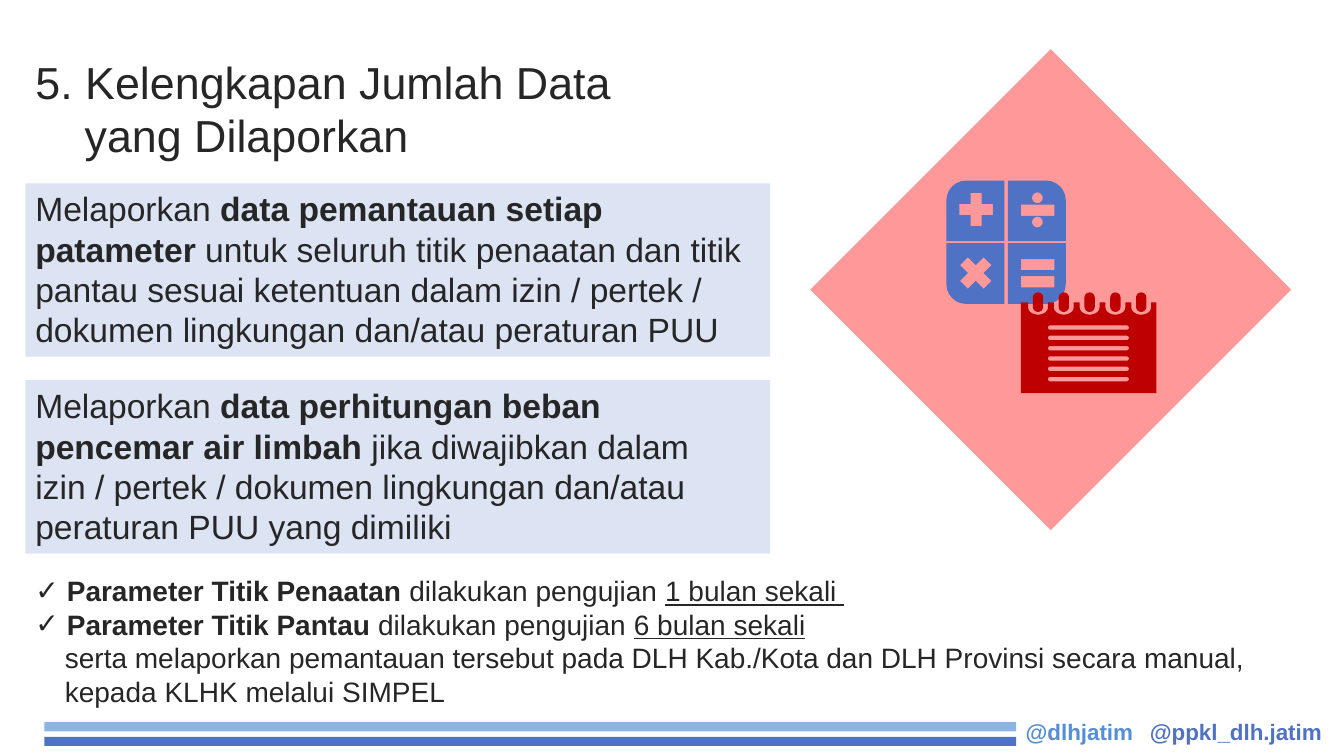
"""Build the slide on completeness of reported monitoring data."""
from dataclasses import dataclass
from math import cos, pi, radians, sin

from lxml.etree import SubElement
from pptx import Presentation
from pptx.dml.color import RGBColor
from pptx.enum.shapes import MSO_SHAPE as Preset
from pptx.enum.text import MSO_ANCHOR as Anchor, MSO_AUTO_SIZE as AutoSize, PP_ALIGN as Align
from pptx.oxml.ns import qn
from pptx.util import Cm, Pt

FONT = "Arial"
INK, PALE, BLUE, SKY, RED = "262626", "DCE3F3", "5072C4", "8EB4E3", "BF0000"
SQUARE = (0, 0, 0, 0)
UNITS_PER_CM = 1000

Point = tuple[float, float]
Contour = list[Point]


@dataclass(frozen=True)
class Box:
    left: float
    top: float
    width: float
    height: float

    def lengths(self) -> tuple:
        return Cm(self.left), Cm(self.top), Cm(self.width), Cm(self.height)


@dataclass(frozen=True)
class Words:
    text: str
    bold: bool = False
    underline: bool = False


@dataclass(frozen=True)
class Statement:
    top: float
    right_inset: float
    words: tuple[Words, ...]


@dataclass(frozen=True)
class Rule:
    words: tuple[Words, ...]
    indent: float
    bullet: str = ""


@dataclass(frozen=True)
class Handle:
    text: str
    left: float
    width: float
    colour: str


STATEMENTS = (
    Statement(4.62, 0.25, (
        Words("Melaporkan "),
        Words("data pemantauan setiap patameter ", bold=True),
        Words("untuk seluruh titik penaatan dan titik pantau sesuai ketentuan dalam "
              "izin / pertek / dokumen lingkungan dan/atau peraturan PUU"))),
    Statement(9.58, 0.8, (
        Words("Melaporkan "),
        Words("data perhitungan beban pencemar air limbah ", bold=True),
        Words("jika diwajibkan dalam izin / pertek / dokumen lingkungan dan/atau "
              "peraturan PUU yang dimiliki"))),
)
RULES = (
    Rule((Words("Parameter Titik Penaatan ", bold=True), Words("dilakukan pengujian "),
          Words("1 bulan sekali ", underline=True)), 0.79, "✓"),
    Rule((Words("Parameter Titik Pantau ", bold=True), Words("dilakukan pengujian "),
          Words("6 bulan sekali", underline=True)), 0.79, "✓"),
    Rule((Words("serta melaporkan pemantauan tersebut pada DLH Kab./Kota dan DLH Provinsi "
                "secara manual, kepada KLHK melalui SIMPEL"),), 0.74),
)
HANDLES = (
    Handle("@dlhjatim", 25.6, 3.66, "558ED5"),
    Handle("@ppkl_dlh.jatim", 28.73, 5.13, BLUE),
)
STRIPES = ((18.2, SKY), (18.57, BLUE))


def rgb(colour: str) -> RGBColor:
    """Turn a hex string into a colour."""
    return RGBColor.from_string(colour)


def paint(shape, colour: str) -> None:
    """Give a shape a flat fill without line or shadow."""
    shape.shadow.inherit = False
    shape.fill.solid()
    shape.fill.fore_color.rgb = rgb(colour)
    shape.line.fill.background()


def add_preset(slide, preset: Preset, box: Box, colour: str):
    """Draw a flat preset shape."""
    shape = slide.shapes.add_shape(preset, *box.lengths())
    paint(shape, colour)
    return shape


def place(placeholder, box: Box) -> None:
    """Move a placeholder and let its text start at the top."""
    placeholder.left, placeholder.top, placeholder.width, placeholder.height = box.lengths()
    prepare(placeholder.text_frame, Anchor.TOP)


def prepare(frame, anchor: Anchor) -> None:
    """Set wrapping, sizing and anchoring of a text frame."""
    frame.word_wrap = True
    frame.auto_size = AutoSize.NONE
    frame.vertical_anchor = anchor


def write(paragraph, words: tuple[Words, ...], size: float, colour: str = INK) -> None:
    """Fill a left-aligned paragraph run by run."""
    paragraph.alignment = Align.LEFT
    for part in words:
        run = paragraph.add_run()
        run.text = part.text
        run.font.name, run.font.size = FONT, Pt(size)
        run.font.bold, run.font.underline = part.bold, part.underline
        run.font.color.rgb = rgb(colour)


def indent(paragraph, left: float, first: float, bullet: str = "") -> None:
    """Set the indents and the bullet of a paragraph."""
    properties = paragraph._p.get_or_add_pPr()
    properties.set("marL", str(Cm(left)))
    properties.set("indent", str(Cm(first)))
    if bullet:
        SubElement(properties, qn("a:buFont")).set("typeface", FONT)
        SubElement(properties, qn("a:buChar")).set("char", bullet)
    else:
        SubElement(properties, qn("a:buNone"))


def arc(x: float, y: float, rx: float, ry: float, start: int, sweep: int) -> Contour:
    """List points along an elliptical arc, in degrees."""
    steps = abs(sweep) // 15
    angles = [radians(start + sweep * step / steps) for step in range(steps + 1)]
    return [(x + rx * cos(angle), y + ry * sin(angle)) for angle in angles]


def rounded(box: Box, radii: tuple[float, ...] = SQUARE) -> Contour:
    """Outline a box with radii clockwise from its top left corner."""
    right, bottom = box.left + box.width, box.top + box.height
    corners = ((box.left, box.top, 1, 1), (right, box.top, -1, 1),
               (right, bottom, -1, -1), (box.left, bottom, 1, -1))
    points: Contour = []
    for turn, ((x, y, dx, dy), r) in enumerate(zip(corners, radii)):
        points += arc(x + dx * r, y + dy * r, r, r, 180 + 90 * turn, 90) if r else [(x, y)]
    return points


def pill(box: Box) -> Contour:
    """Outline a box with fully rounded ends."""
    return rounded(box, (min(box.width, box.height) / 2,) * 4)


def cross(x: float, y: float, turn: float) -> Contour:
    """Outline a plus sign turned about its centre."""
    arm, half = 0.42, 0.14
    quarter = ((half, -half), (arm, -half), (arm, half))
    angles = [turn + pi / 2 * step for step in range(4)]
    return [(x + u * cos(a) - v * sin(a), y + u * sin(a) + v * cos(a))
            for a in angles for u, v in quarter]


def calculator() -> list[Contour]:
    """Outline four keys with their signs."""
    keys = [rounded(Box(left, top, 1.46, 1.53), tuple(0.5 * (n == corner) for n in range(4)))
            for corner, (left, top) in enumerate(
                ((23.85, 4.55), (25.4, 4.55), (25.4, 6.13), (23.85, 6.13)))]
    bars = [rounded(Box(25.73, top, 0.84, 0.28)) for top in (5.16, 6.53, 6.96)]
    dots = [pill(Box(26.01, top, 0.27, 0.27)) for top in (4.85, 5.46)]
    return keys + bars + dots + [cross(24.6, 5.28, 0), cross(24.59, 6.88, pi / 4)]


def calendar() -> list[Contour]:
    """Outline a notched sheet with its rings and written lines."""
    rings = [26.16 + 0.65 * n for n in range(5)]
    sheet: Contour = [(25.73, 7.62)]
    for x in rings:
        sheet += [(x - 0.25, 7.62), *arc(x, 7.75, 0.25, 0.18, 180, -180), (x + 0.25, 7.62)]
    sheet += [(29.14, 7.62), (29.14, 9.91), (25.73, 9.91)]
    return ([sheet] + [pill(Box(x - 0.13, 7.37, 0.26, 0.49)) for x in rings]
            + [pill(Box(26.41, 8.2 + 0.26 * n, 2.04, 0.11)) for n in range(6)])


def add_icon(slide, contours: list[Contour], colour: str) -> None:
    """Draw contours as one freeform."""
    scaled = [[(x * UNITS_PER_CM, y * UNITS_PER_CM) for x, y in contour] for contour in contours]
    builder = slide.shapes.build_freeform(*scaled[0][0], scale=Cm(1) / UNITS_PER_CM)
    for number, contour in enumerate(scaled):
        if number:
            builder.move_to(*contour[0])
        builder.add_line_segments(contour[1:], close=True)
    paint(builder.convert_to_shape(), colour)


def main() -> None:
    """Compose and save the slide."""
    deck = Presentation()
    deck.slide_width, deck.slide_height = Cm(33.87), Cm(19.05)
    slide = deck.slides.add_slide(deck.slide_layouts[1])

    heading, rules = slide.shapes.title, slide.placeholders[1]
    place(heading, Box(0.64, 1.24, 17.35, 3))
    title_line = heading.text_frame.paragraphs[0]
    indent(title_line, 1.24, -1.24)
    write(title_line, (Words("5. Kelengkapan Jumlah Data yang Dilaporkan"),), 32)

    place(rules, Box(0.64, 14.33, 31.9, 3.68))
    for number, rule in enumerate(RULES):
        frame = rules.text_frame
        line = frame.add_paragraph() if number else frame.paragraphs[0]
        indent(line, rule.indent, -rule.indent if rule.bullet else 0, rule.bullet)
        line.space_before = Pt(0)
        write(line, rule.words, 20)

    diamond = add_preset(slide, Preset.DIAMOND, Box(20.42, 1.24, 12.12, 12.12), "FF0000")
    tint = diamond._element.spPr.find(qn("a:solidFill"))[0]
    SubElement(tint, qn("a:alpha")).set("val", "40000")
    add_icon(slide, calculator(), BLUE)
    add_icon(slide, calendar(), RED)

    for statement in STATEMENTS:
        panel = add_preset(slide, Preset.RECTANGLE, Box(0.64, statement.top, 18.77, 4.37), PALE)
        prepare(panel.text_frame, Anchor.TOP)
        panel.text_frame.margin_right = Cm(statement.right_inset)
        write(panel.text_frame.paragraphs[0], statement.words, 24)

    for top, colour in STRIPES:
        add_preset(slide, Preset.RECTANGLE, Box(1.12, top, 24.49, 0.23), colour)
    for handle in HANDLES:
        label = slide.shapes.add_textbox(*Box(handle.left, 17.96, handle.width, 0.94).lengths())
        prepare(label.text_frame, Anchor.MIDDLE)
        write(label.text_frame.paragraphs[0], (Words(handle.text, bold=True),), 16, handle.colour)

    deck.save("out.pptx")


if __name__ == "__main__":
    main()
